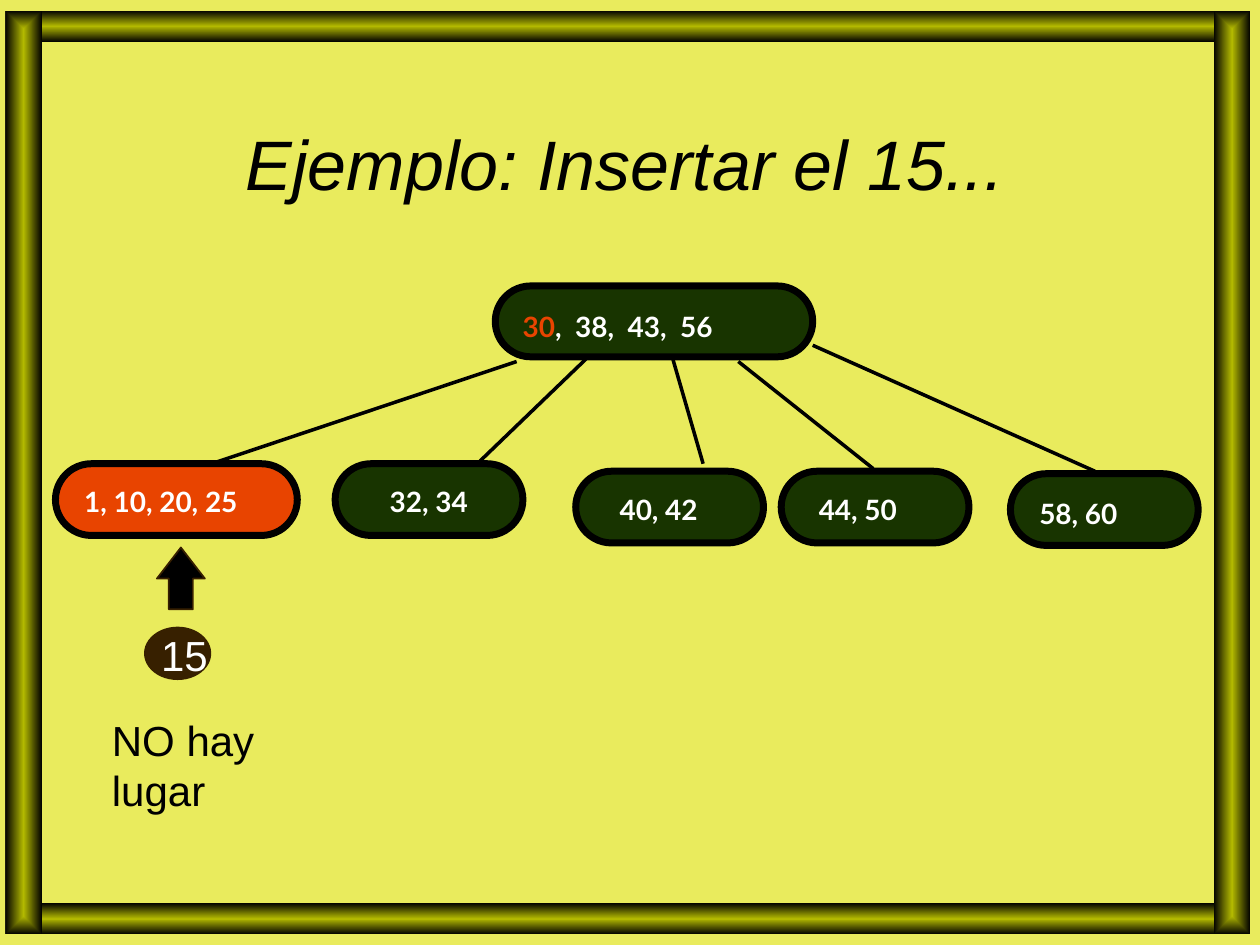
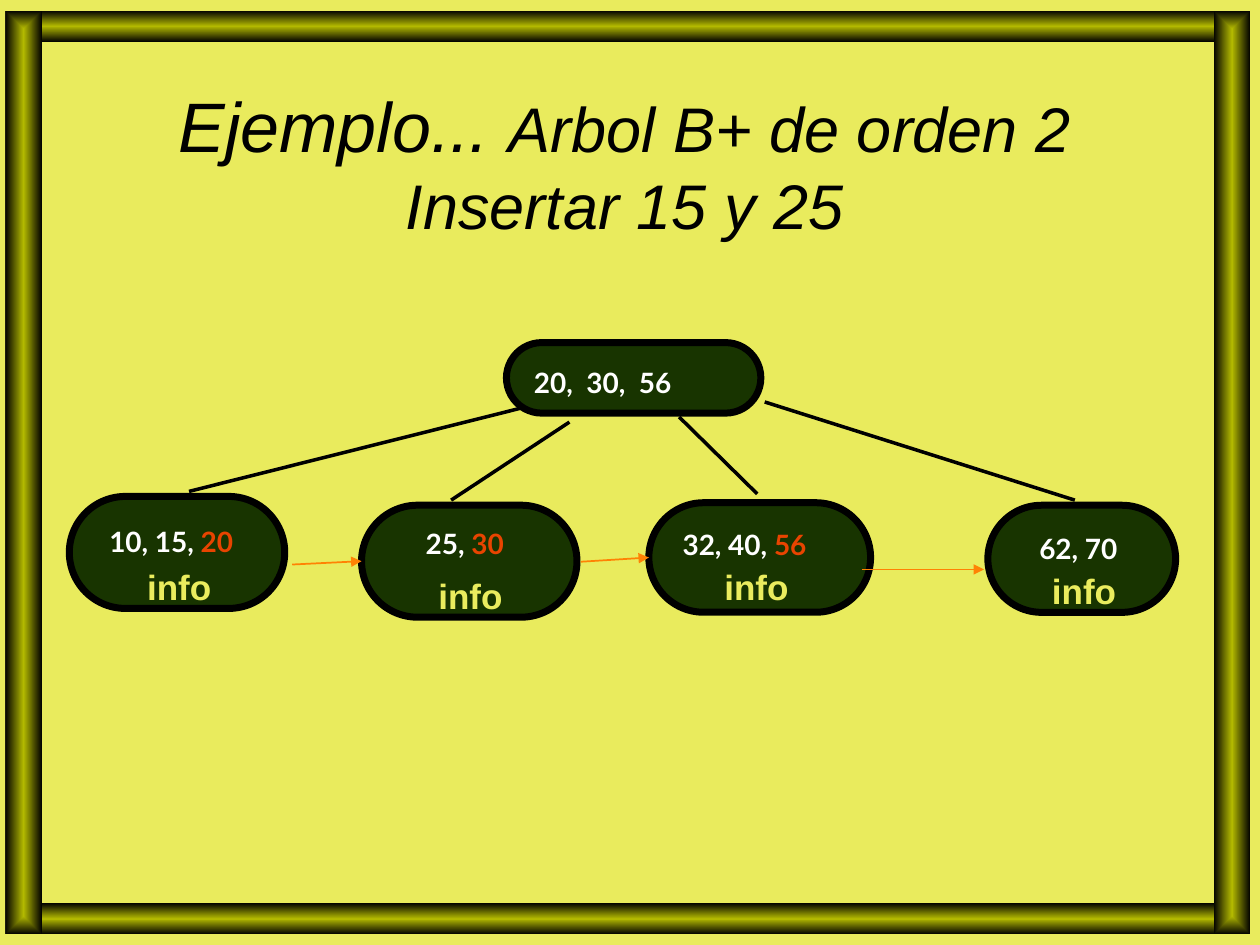
import dataclasses
import pptx
import pptx.util
import pptx.dml.color
import pptx.enum.shapes
import pptx.enum.text
import pptx.oxml
import pptx.oxml.ns
import lxml.etree

Pt = pptx.util.Pt
RGB = pptx.dml.color.RGBColor.from_string
qn = pptx.oxml.ns.qn
SHAPE = pptx.enum.shapes.MSO_SHAPE
LINE = pptx.enum.shapes.MSO_CONNECTOR.STRAIGHT
ANCHOR = pptx.enum.text.MSO_ANCHOR
ALIGN = pptx.enum.text.PP_ALIGN
FIT = pptx.enum.text.MSO_AUTO_SIZE


@dataclasses.dataclass(frozen=True)
class Theme:
    black: str = "000000"
    white: str = "FFFFFF"
    paper: str = "EAEC5E"
    paper_edge: str = "E9EB5D"
    frame: str = "B3B900"
    node: str = "183400"
    accent: str = "E84400"
    brown: str = "372000"
    link: str = "FF8203"
    sans: str = "Arial"
    keys: str = "Lato"
    title_size: int = 40
    subtitle_size: int = 36
    note_size: int = 24
    info_size: int = 20
    key_size: int = 16
    tab_step: int = 30


theme = Theme()

STYLES = {
    "title": (theme.black, dict(name=theme.sans, size=Pt(theme.title_size), italic=True)),
    "subtitle": (theme.black, dict(name=theme.sans, size=Pt(theme.subtitle_size), italic=True)),
    "key": (theme.white, dict(name=theme.keys, size=Pt(theme.key_size), bold=True)),
    "marked": (theme.accent, dict(name=theme.keys, size=Pt(theme.key_size), bold=True)),
    "info": (theme.paper, dict(name=theme.sans, size=Pt(theme.info_size), bold=True)),
    "new": (theme.white, dict(name=theme.sans, size=Pt(theme.note_size))),
    "note": (theme.black, dict(name=theme.sans, size=Pt(theme.note_size))),
}

FRAME_BARS = [
    (6, 6, 708, 18),
    (6, 516, 708, 18),
    (3, 6, 21, 528),
    (693.5, 6, 21, 528),
]

SLIDES = [
    dict(
        title=[("Ejemplo: Insertar el 15...", "title")],
        nodes=[
            (283, 163.4, 181.4, 40.5, theme.node),
            (31.7, 265, 138.2, 41, theme.accent),
            (191.5, 265, 107.3, 41, theme.node),
            (329, 269.3, 107.3, 41, theme.node),
            (446.4, 269.3, 107.3, 41, theme.node),
            (577.4, 270.7, 107.3, 41, theme.node),
        ],
        branches=[
            (295.2, 206.6, 118.8, 265.7),
            (334.8, 205.2, 274.3, 263.5),
            (384.5, 205.2, 401.8, 265),
            (421.9, 206.6, 499, 267.8),
            (464.4, 197.3, 625.7, 269.3),
        ],
        links=[],
        labels=[
            (291.6, 173.5, 171.4, 26, [("30", "marked"), (",\t38,\t43,\t56", "key")]),
            (41, 273.6, 108.7, 26, [("1, 10, 20, 25", "key")]),
            (215.6, 273.6, 59.8, 26, [("32, 34", "key")]),
            (347, 278, 59.8, 26, [("40, 42", "key")]),
            (460.8, 278, 59.8, 26, [("44, 50", "key")]),
            (586.8, 280, 59.8, 26, [("58, 60", "key")]),
        ],
        insertion=True,
    ),
    dict(
        title=[("Ejemplo... ", "title"), ("Arbol B+ de orden 2\nInsertar 15 y 25", "subtitle")],
        nodes=[
            (289.4, 195.8, 145.4, 40.3, theme.node),
            (39.6, 283.7, 123.1, 64, theme.node),
            (206.6, 288.7, 123.1, 64, theme.node),
            (370.8, 287.3, 126.7, 62.6, theme.node),
            (564.5, 288.7, 107.3, 61.2, theme.node),
        ],
        branches=[
            (297.4, 233.3, 108, 280.8),
            (325.4, 241.2, 257.8, 285.8),
            (388.1, 238.3, 432.7, 282.2),
            (437, 229.7, 614.2, 285.8),
        ],
        links=[
            (167, 322.6, 206.6, 321, 2),
            (331.9, 321, 370.8, 319, 3),
            (492.5, 325.4, 562.3, 325.4, None),
        ],
        labels=[
            (298, 205.2, 171.4, 26, [("20,\t30,\t56", "key")]),
            (55.4, 296, 86.4, 26, [("10, 15, ", "key"), ("20", "marked")]),
            (236.2, 297.4, 59.8, 26, [("25, ", "key"), ("30", "marked")]),
            (383, 298, 86.4, 26, [("32, 40, ", "key"), ("56", "marked")]),
            (586.8, 300.2, 59.8, 26, [("62, 70", "key")]),
            (77, 319.7, 51.1, 31, [("info", "info")]),
            (243.4, 324.7, 51.1, 31, [("info", "info")]),
            (406.8, 319.7, 51.1, 31, [("info", "info")]),
            (594, 321.8, 51.1, 31, [("info", "info")]),
        ],
        insertion=False,
    ),
]


def fill_from_centre(fill, centre, edge):
    fill.gradient()
    for stop, colour in zip(fill.gradient_stops, (centre, edge)):
        stop.color.rgb = RGB(colour)
    lin = next(fill._xPr.iter(qn("a:lin")))
    route = pptx.oxml.parse_xml(
        f'<a:path xmlns:a="{lin.nsmap["a"]}" path="rect">'
        '<a:fillToRect l="50000" t="50000" r="50000" b="50000"/></a:path>')
    lin.getparent().replace(lin, route)


def add_text(s, box, runs, wrap=False, fit=FIT.SHAPE_TO_FIT_TEXT, anchor=ANCHOR.TOP, align=ALIGN.LEFT):
    tf = s.shapes.add_textbox(*map(Pt, box)).text_frame
    for name, value in dict(word_wrap=wrap, auto_size=fit, vertical_anchor=anchor).items():
        setattr(tf, name, value)
    p = tf.paragraphs[0]
    p.alignment = align
    tab_count = sum(text.count("\t") for text, style in runs)
    if tab_count:
        tabs = lxml.etree.SubElement(p._p.get_or_add_pPr(), qn("a:tabLst"))
        for i in range(tab_count):
            lxml.etree.SubElement(tabs, qn("a:tab"), pos=str(Pt(theme.tab_step * (i + 1))), algn="l")
    for text, style in runs:
        colour, font = STYLES[style]
        for i, part in enumerate(text.split("\n")):
            if i:
                p.add_line_break()
            r = p.add_run()
            r.text = part
            r.font.color.rgb = RGB(colour)
            for name, value in font.items():
                setattr(r.font, name, value)


prs = pptx.Presentation()
prs.slide_width, prs.slide_height = Pt(720), Pt(540)

for content in SLIDES:
    s = prs.slides.add_slide(prs.slide_layouts[6])
    fill_from_centre(s.background.fill, theme.paper, theme.paper_edge)

    for box in FRAME_BARS:
        bar = s.shapes.add_shape(SHAPE.RECTANGLE, *map(Pt, box))
        bar.shadow.inherit = False
        bar.line.fill.background()
        fill_from_centre(bar.fill, theme.frame, theme.black)

    add_text(s, (24, 48, 666, 90), content["title"], wrap=True, fit=FIT.NONE,
             anchor=ANCHOR.MIDDLE, align=ALIGN.CENTER)

    solids = [(SHAPE.ROUNDED_RECTANGLE, node[:4], node[4], theme.black, 4, [0.5], 0)
              for node in content["nodes"]]
    if content["insertion"]:
        solids += [
            (SHAPE.OVAL, (82.8, 358.6, 37.4, 29.5), theme.brown, theme.brown, 1, [], 0),
            (SHAPE.RIGHT_ARROW, (85.7, 316.8, 35.3, 27.4), theme.black, theme.brown, 1, [0.5, 0.648], 270),
        ]
    drawn = []
    for kind, box, colour, edge, weight, adjustments, rotation in solids:
        sp = s.shapes.add_shape(kind, *map(Pt, box))
        sp.shadow.inherit = False
        sp.rotation = rotation
        sp.fill.solid()
        sp.fill.fore_color.rgb = RGB(colour)
        sp.line.color.rgb = RGB(edge)
        sp.line.width = Pt(weight)
        for i, value in enumerate(adjustments):
            sp.adjustments[i] = value
        drawn.append(sp)

    strokes = [(branch, None, theme.black, 2, False) for branch in content["branches"]]
    strokes += [(link[:4], link[4], theme.link, 1, True) for link in content["links"]]
    for ends, target, colour, weight, arrow in strokes:
        line = s.shapes.add_connector(LINE, *map(Pt, ends))
        line.line.color.rgb = RGB(colour)
        line.line.width = Pt(weight)
        if target is not None:
            line.end_connect(drawn[target], 1)
        if arrow:
            lxml.etree.SubElement(line.line._get_or_add_ln(), qn("a:tailEnd"), type="triangle")
        lxml.etree.SubElement(line._element.spPr, qn("a:effectLst"))

    for *box, runs in content["labels"]:
        add_text(s, box, runs, wrap=any("\t" in text for text, style in runs))

    if content["insertion"]:
        add_text(s, (85, 356.4, 41, 36), [("15", "new")])
        add_text(s, (56.9, 404.6, 155.5, 36), [("NO hay lugar", "note")])

prs.save("out.pptx")
